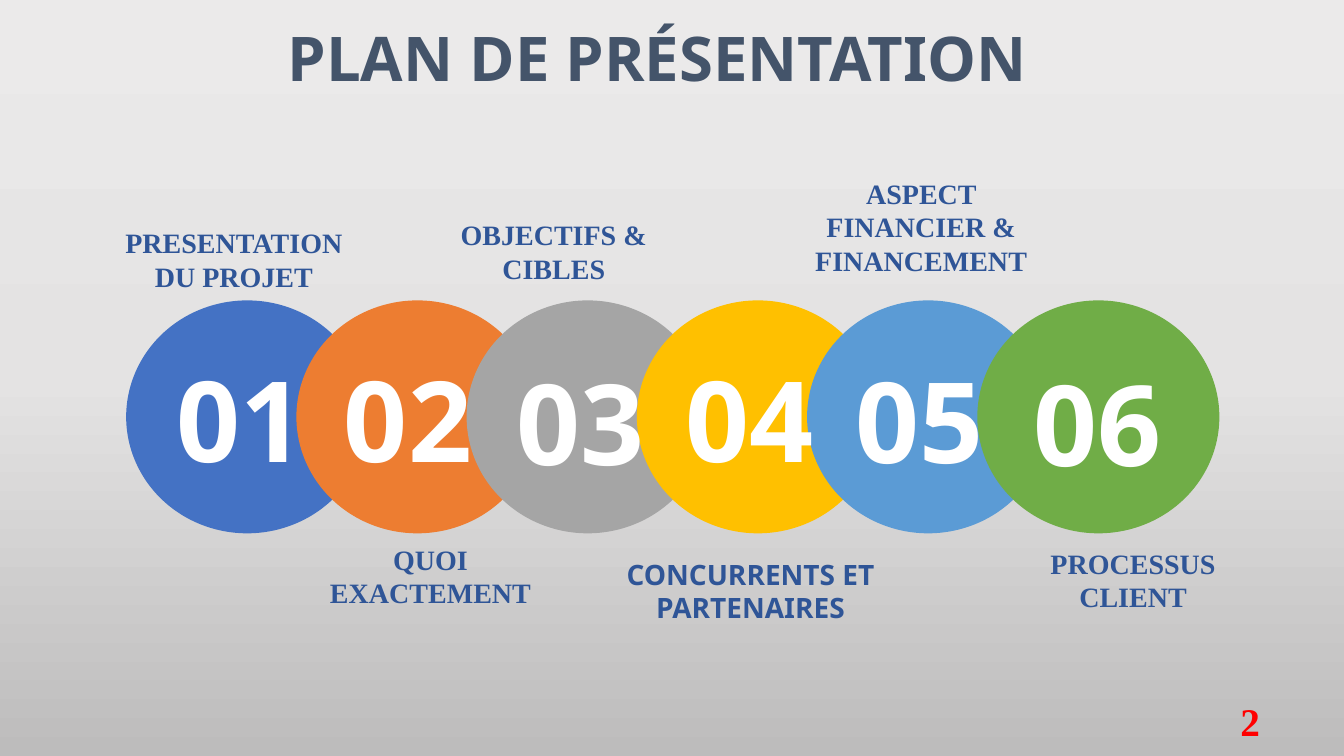
from copy import deepcopy

from pptx import Presentation
from pptx.dml.color import RGBColor
from pptx.enum.shapes import MSO_SHAPE as Shape
from pptx.enum.text import MSO_ANCHOR as Anchor, MSO_AUTO_SIZE as AutoSize, PP_ALIGN as Align
from pptx.oxml.ns import qn
from pptx.util import Cm, Pt

SANS = "Noto Sans"
SERIF = "Times New Roman"

SLATE = RGBColor(0x44, 0x54, 0x6A)
NAVY = RGBColor(0x2F, 0x55, 0x97)
WHITE = RGBColor(0xFF, 0xFF, 0xFF)
RED = RGBColor(0xFF, 0x00, 0x00)
BLUE = RGBColor(0x44, 0x72, 0xC4)
ORANGE = RGBColor(0xED, 0x7D, 0x31)
GREY = RGBColor(0xA5, 0xA5, 0xA5)
GOLD = RGBColor(0xFF, 0xC0, 0x00)
SKY = RGBColor(0x5B, 0x9B, 0xD5)
GREEN = RGBColor(0x70, 0xAD, 0x47)
BACKDROP = (
    (0, RGBColor(0xEB, 0xEA, 0xEA)),
    (0.5, RGBColor(0xE4, 0xE3, 0xE3)),
    (1, RGBColor(0xBD, 0xBC, 0xBC)),
)

# Circles, in cm
CIRCLE_LEFT, CIRCLE_TOP, CIRCLE_STEP = 3.18, 7.57, 4.29
CIRCLE_WIDTH, CIRCLE_HEIGHT = 6.1, 5.87

# Circle colour, number position, label text, label box (cm), label font
STEPS = (
    (BLUE, (3.73, 8.71), "PRESENTATION DU PROJET", (2.54, 5.56, 6.71, 1.96), SERIF),
    (ORANGE, (7.95, 8.71), "QUOI EXACTEMENT", (7.8, 13.54, 6.1, 1.96), SERIF),
    (GREY, (12.29, 8.79), "OBJECTIFS & CIBLES", (10.36, 5.36, 7.19, 1.96), SERIF),
    (GOLD, (16.56, 8.71), "CONCURRENTS ET PARTENAIRES", (15.32, 13.92, 7.19, 1.96), SANS),
    (SKY, (20.85, 8.74), "ASPECT FINANCIER & FINANCEMENT", (19.86, 4.32, 6.71, 2.82), SERIF),
    (GREEN, (25.32, 8.81), "PROCESSUS CLIENT", (25.2, 13.64, 6.71, 1.96), SERIF),
)


def paint_backdrop(slide):
    fill = slide.background.fill
    fill.gradient()
    fill.gradient_angle = 270
    stop_list = slide.element.find(".//" + qn("a:gsLst"))
    stop_list.append(deepcopy(stop_list[0]))
    for stop, (position, color) in zip(fill.gradient_stops, BACKDROP):
        stop.position = position
        stop.color.rgb = color


def write_text(holder, text, size, font_name, color, align=Align.CENTER, anchor=Anchor.TOP):
    frame = holder.text_frame
    frame.text = text
    frame.word_wrap = True
    frame.auto_size = AutoSize.NONE
    frame.vertical_anchor = anchor
    paragraph = frame.paragraphs[0]
    paragraph.alignment = align
    font = paragraph.font
    font.name, font.size, font.bold = font_name, Pt(size), True
    font.color.rgb = color


def add_text(slide, box, *style, **layout):
    write_text(slide.shapes.add_textbox(*map(Cm, box)), *style, **layout)


def place_title(slide, text):
    title = slide.shapes.title
    title.left, title.top, title.width, title.height = map(Cm, (6.45, 0.38, 20.22, 2.13))
    write_text(title, text, 44, SANS, SLATE)


def add_circle_chain(slide):
    chain = slide.shapes.add_group_shape()
    for index, (color, *_) in enumerate(STEPS):
        circle = chain.shapes.add_shape(
            Shape.OVAL, Cm(CIRCLE_LEFT + index * CIRCLE_STEP), Cm(CIRCLE_TOP),
            Cm(CIRCLE_WIDTH), Cm(CIRCLE_HEIGHT))
        circle.shadow.inherit = False
        circle.fill.solid()
        circle.fill.fore_color.rgb = color
        circle.line.fill.background()


def main():
    prs = Presentation()
    prs.slide_width, prs.slide_height = Cm(33.87), Cm(19.05)
    slide = prs.slides.add_slide(prs.slide_layouts[5])
    paint_backdrop(slide)
    place_title(slide, "PLAN DE PRÉSENTATION")

    # Numbered chain with its labels
    add_circle_chain(slide)
    for number, (_, corner, label, label_box, label_font) in enumerate(STEPS, 1):
        add_text(slide, (*corner, 4.67, 3.68), f"{number:02}", 80, SANS, WHITE)
        add_text(slide, label_box, label, 20, label_font, NAVY)

    # Page number
    add_text(slide, (24.38, 17.65, 7.62, 1.02), "2", 28, SERIF, RED,
             align=Align.RIGHT, anchor=Anchor.MIDDLE)
    prs.save("out.pptx")


if __name__ == "__main__":
    main()
